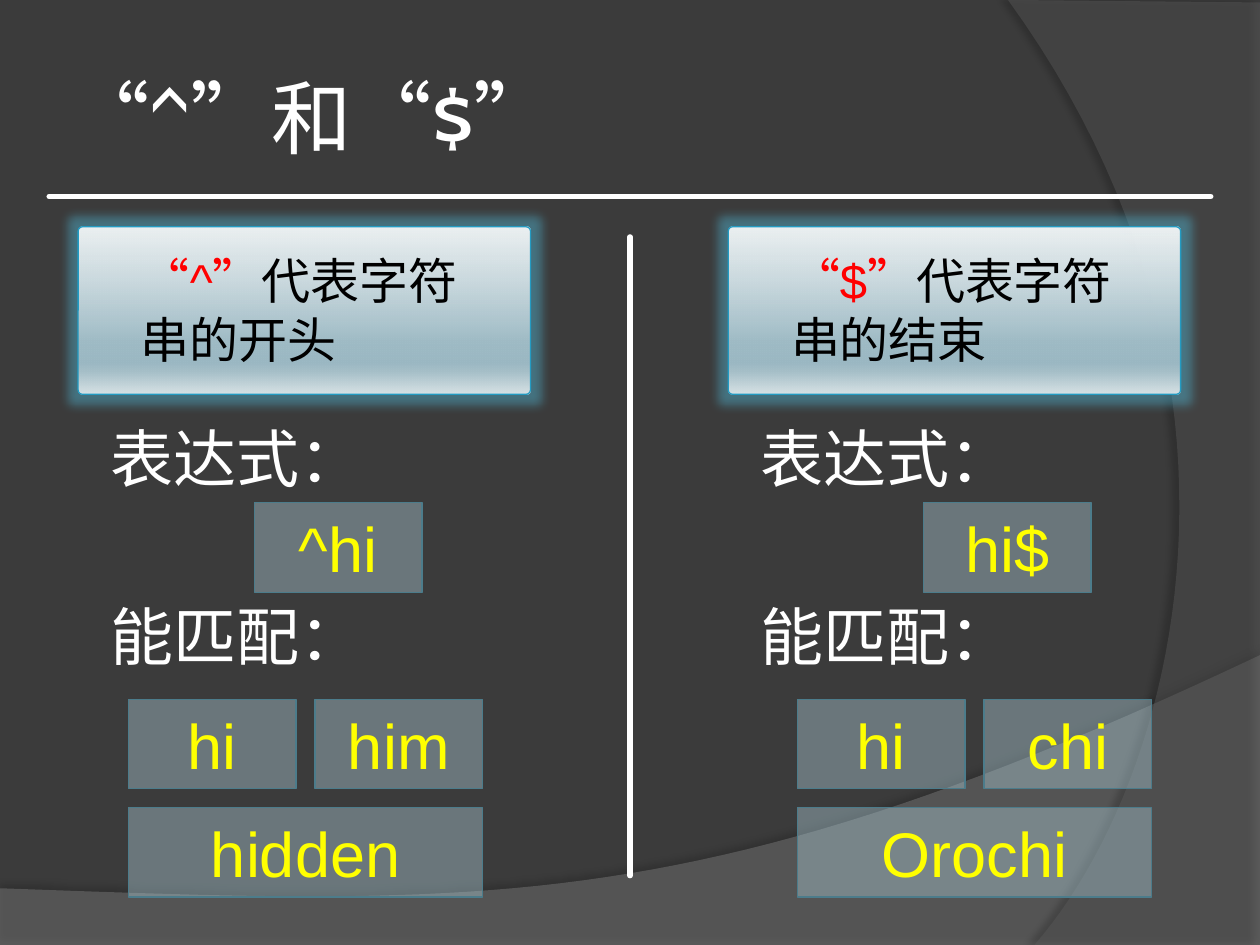
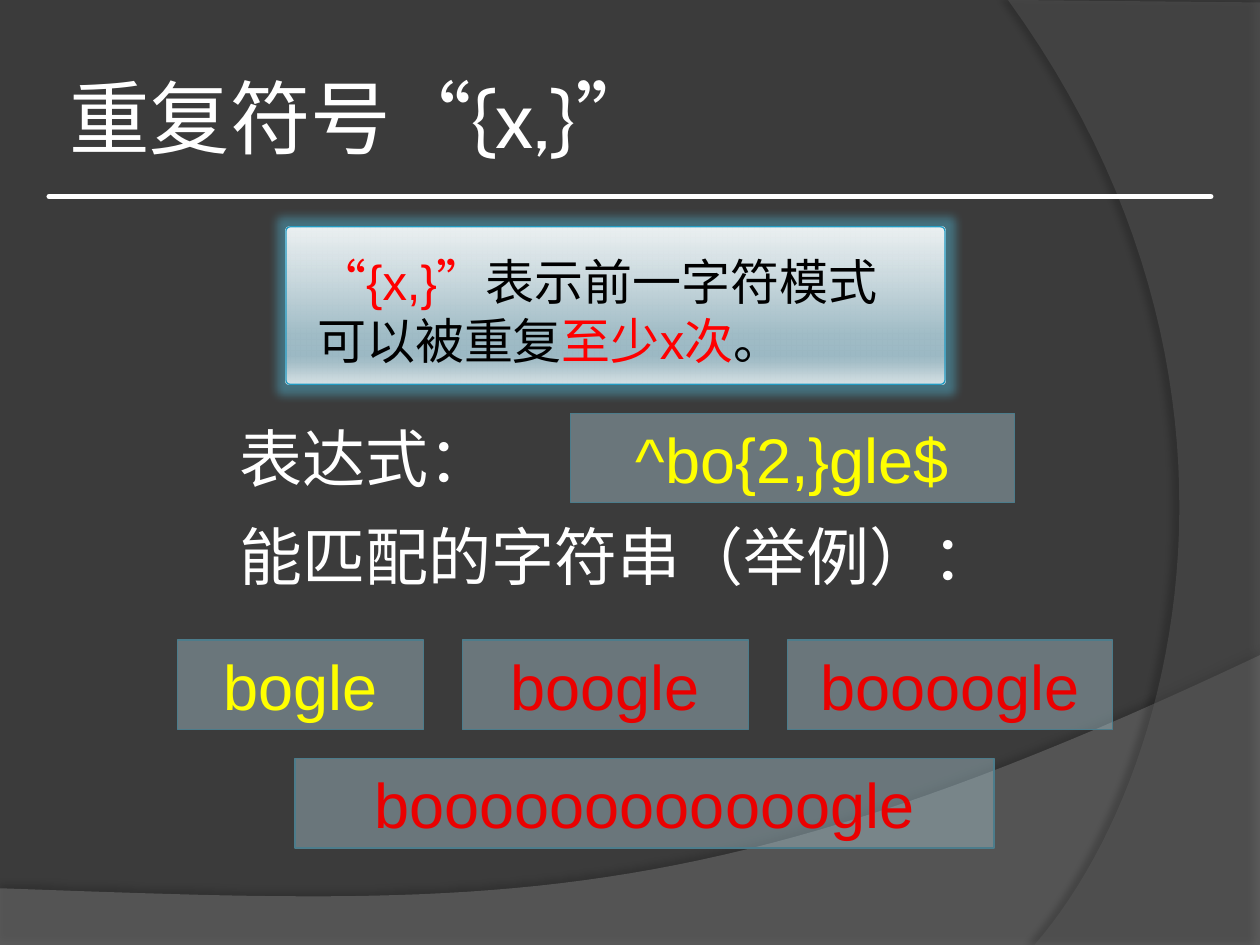
import pptx
import pptx.util
import pptx.dml.color
import pptx.enum.dml
import pptx.enum.lang
import pptx.enum.shapes
import pptx.enum.text
import pptx.oxml

Inches = pptx.util.Inches
Pt = pptx.util.Pt
SHAPES = pptx.enum.shapes.MSO_SHAPE
ALIGN = pptx.enum.text.PP_ALIGN
NAMESPACE = 'xmlns:a="http://schemas.openxmlformats.org/drawingml/2006/main"'

COLORS = {
    "background": "3B3B3B",
    "wave": "7F7F7F",
    "arc": "5E5E5E",
    "shadow": "000000",
    "white": "FFFFFF",
    "ink": "000000",
    "accent": "FF0000",
    "chip": "A8C6D0",
    "chip_line": "4C7C8B",
    "match": "EA0000",
    "pattern": "FFFF00",
    "card_line": "239BC2",
    "glow": "4FB4D2",
}
CARD_STOPS = [(0, "FEFEFE", 90), (68, "A0BCC6", 100), (81, "9CB9C4", 100),
              (86, "A7C0C9", 100), (100, "DAE4E7", 100)]
CHIP_HEIGHT = 0.71


def rgb(name):
    return pptx.dml.color.RGBColor.from_string(COLORS[name])


def color_xml(value, alpha):
    return f'<a:srgbClr val="{value}"><a:alpha val="{alpha * 1000}"/></a:srgbClr>'


def append_xml(properties, tag, content="", attributes=""):
    properties.append(pptx.oxml.parse_xml(
        f"<a:{tag} {NAMESPACE} {attributes}>{content}</a:{tag}>"))


def set_fill(shape, color, alpha):
    shape.fill.solid()
    shape.fill.fore_color.rgb = rgb(color)
    solid = shape.fill._xPr.find(pptx.oxml.ns.qn("a:solidFill"))
    append_xml(solid[0], "alpha", attributes=f'val="{alpha * 1000}"')


def set_line(shape, color, width):
    shape.line.color.rgb = rgb(color)
    shape.line.width = Pt(width)


def format_run(span, font, size, color):
    span.font.name = font
    span.font.size = Pt(size)
    span.font.color.rgb = rgb(color)
    span.font.language_id = pptx.enum.lang.MSO_LANGUAGE_ID.SIMPLIFIED_CHINESE


def bezier(start, first, second, end, steps=48):
    points = []
    for step in range(1, steps + 1):
        t = step / steps
        weights = ((1 - t) ** 3, 3 * t * (1 - t) ** 2, 3 * t ** 2 * (1 - t), t ** 3)
        points.append(tuple(
            sum(weight * value for weight, value in zip(weights, values))
            for values in zip(start, first, second, end)))
    return points


def add_backdrop(slide, layout, position, points, color, alpha, shadow):
    corners = [(Inches(x), Inches(y)) for x, y in points]
    builder = slide.shapes.build_freeform(*corners[0])
    builder.add_line_segments(corners[1:])
    shape = builder.convert_to_shape()
    set_fill(shape, color, alpha)
    shape.line.fill.background()
    shadow_alpha, blur, distance, angle = shadow
    append_xml(
        shape._element.spPr, "effectLst",
        f'<a:outerShdw blurRad="{Pt(blur)}" dist="{Pt(distance)}" dir="{angle * 60000}" '
        f'rotWithShape="0">{color_xml(COLORS["shadow"], shadow_alpha)}</a:outerShdw>')
    shape._element.nvSpPr.cNvPr.set("id", str(100 + position))
    layout.shapes._spTree.insert(position, shape._element)


def add_backdrops(slide, layout):
    wave = [(0, 7.05), (0, 7.5), (10, 7.5), (10, 5.2)]
    wave += bezier((10, 5.2), (5.59, 7.29), (3.91, 7.19), (0, 7.05))
    add_backdrop(slide, layout, 2, wave, "wave", 45, (35, 4, 3.5, 270))
    arc = [(10, 0.02), (10, 7.5), (8.21, 7.5)]
    arc += bezier((8.21, 7.5), (9.35, 6.19), (10.18, 3), (8, 0))
    add_backdrop(slide, layout, 3, arc, "arc", 40, (45, 4, 4, 180))


def add_rule(slide, start, end):
    rule = slide.shapes.add_connector(
        pptx.enum.shapes.MSO_CONNECTOR.STRAIGHT,
        *[Inches(value) for value in (*start, *end)])
    set_line(rule, "white", 3)
    rule.line._get_or_add_ln().set("cap", "rnd")
    append_xml(rule._element.spPr, "effectLst")


def add_slide(deck, layout, title):
    slide = deck.slides.add_slide(layout)
    box = slide.shapes.title
    frame = box.text_frame
    frame.text = title
    frame.vertical_anchor = pptx.enum.text.MSO_ANCHOR.MIDDLE
    frame.margin_left = frame.margin_right = Inches(0.05)
    frame.paragraphs[0].alignment = ALIGN.LEFT
    format_run(frame.paragraphs[0].runs[0], "Cabin", 46, "white")
    add_rule(slide, (0.39, 1.56), (9.61, 1.56))
    return slide


def add_text(slide, left, top, width, height, parts, size):
    box = slide.shapes.add_textbox(Inches(left), Inches(top), Inches(width), Inches(height))
    box.text_frame.word_wrap = True
    para = box.text_frame.paragraphs[0]
    for text, color in parts:
        span = para.add_run()
        span.text = text
        format_run(span, "Arial", size, color)


def add_label(slide, left, top, width, text):
    add_text(slide, left, top, width, CHIP_HEIGHT, [(text, "white")], 36)


def add_chip(slide, left, top, width, text, color="pattern"):
    chip = slide.shapes.add_shape(
        SHAPES.RECTANGLE, Inches(left), Inches(top), Inches(width), Inches(CHIP_HEIGHT))
    chip.shadow.inherit = False
    set_fill(chip, "chip", 43)
    set_line(chip, "chip_line", 0.75)
    chip.text_frame.text = text
    chip.text_frame.word_wrap = True
    para = chip.text_frame.paragraphs[0]
    para.alignment = ALIGN.CENTER
    format_run(para.runs[0], "Arial", 36, color)


def add_card(slide, left, width, height):
    card = slide.shapes.add_shape(
        SHAPES.ROUNDED_RECTANGLE, Inches(left), Inches(1.8), Inches(width), Inches(height))
    card.adjustments[0] = 0.026
    properties = card._element.spPr
    stops = "".join(f'<a:gs pos="{place * 1000}">{color_xml(value, alpha)}</a:gs>'
                    for place, value, alpha in CARD_STOPS)
    append_xml(properties, "gradFill",
               f'<a:gsLst>{stops}</a:gsLst><a:lin ang="5400000" scaled="0"/>')
    set_line(card, "card_line", 0.75)
    append_xml(properties, "effectLst",
               f'<a:glow rad="{Pt(11)}">{color_xml(COLORS["glow"], 45)}</a:glow>')


def add_anchor_column(slide, left, chip_left, symbol, meaning, pattern, matches):
    add_label(slide, left + 0.16, 3.28, 2.27, "表达式：")
    add_chip(slide, chip_left + 1, 3.99, 1.33, pattern)
    add_label(slide, left + 0.16, 4.69, 2.8, "能匹配：")
    first, second, longest = matches
    add_chip(slide, chip_left, 5.55, 1.33, first)
    add_chip(slide, chip_left + 1.48, 5.55, 1.33, second)
    add_chip(slide, chip_left, 6.41, 2.81, longest)
    add_card(slide, left, 3.59, 1.33)
    add_text(slide, left + 0.4, 1.94, 3.05, 1.04,
             [(symbol, "accent"), (meaning, "ink")], 28)


def build_anchor_slide(deck, layout):
    slide = add_slide(deck, layout, "“^”和“$”")
    add_anchor_column(slide, 0.62, 1.02, "“^”", "代表字符串的开头",
                      "^hi", ("hi", "him", "hidden"))
    add_anchor_column(slide, 5.78, 6.33, "“$”", "代表字符串的结束",
                      "hi$", ("hi", "chi", "Orochi"))
    add_rule(slide, (5, 6.95), (5, 1.88))
    return slide


def build_repeat_slide(deck, layout):
    slide = add_slide(deck, layout, "重复符号“{x,}”")
    add_card(slide, 2.27, 5.23, 1.25)
    add_text(slide, 2.42, 1.95, 5, 1.04,
             [("“{x,}”", "accent"), ("表示前一字符模式可以被重复", "ink"),
              ("至少x次", "accent"), ("。", "ink")], 28)
    add_label(slide, 1.8, 3.28, 2.27, "表达式：")
    add_chip(slide, 4.53, 3.28, 3.52, "^bo{2,}gle$")
    add_label(slide, 1.8, 4.06, 6.02, "能匹配的字符串（举例）：")
    left = 1.41
    for text, width, color in [("bogle", 1.95, "pattern"), ("boogle", 2.27, "match"),
                               ("boooogle", 2.58, "match")]:
        add_chip(slide, left, 5.08, width, text, color)
        left += width + 0.31
    add_chip(slide, 2.34, 6.02, 5.55, "boooooooooooogle", "match")


def main():
    deck = pptx.Presentation()
    deck.slide_width, deck.slide_height = Inches(10), Inches(7.5)
    background = deck.slide_master.background.fill
    background.solid()
    background.fore_color.rgb = rgb("background")
    layout = deck.slide_layouts.get_by_name("Title Only")
    title = layout.placeholders[0]
    title.left, title.top = Inches(0.5), Inches(0.3)
    title.width, title.height = Inches(8.17), Inches(1.25)
    first = build_anchor_slide(deck, layout)
    add_backdrops(first, layout)
    build_repeat_slide(deck, layout)
    deck.save("out.pptx")


if __name__ == "__main__":
    main()
